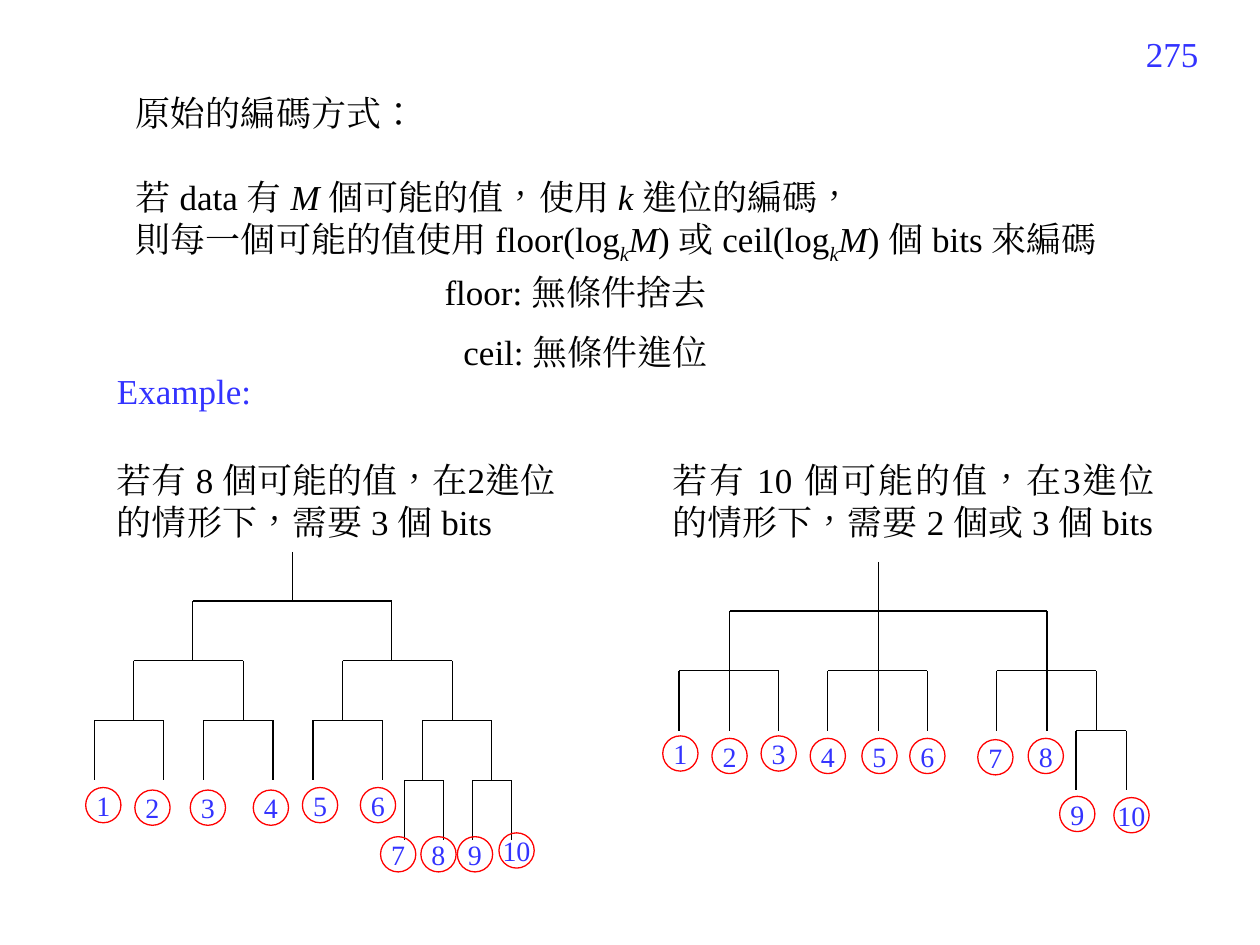
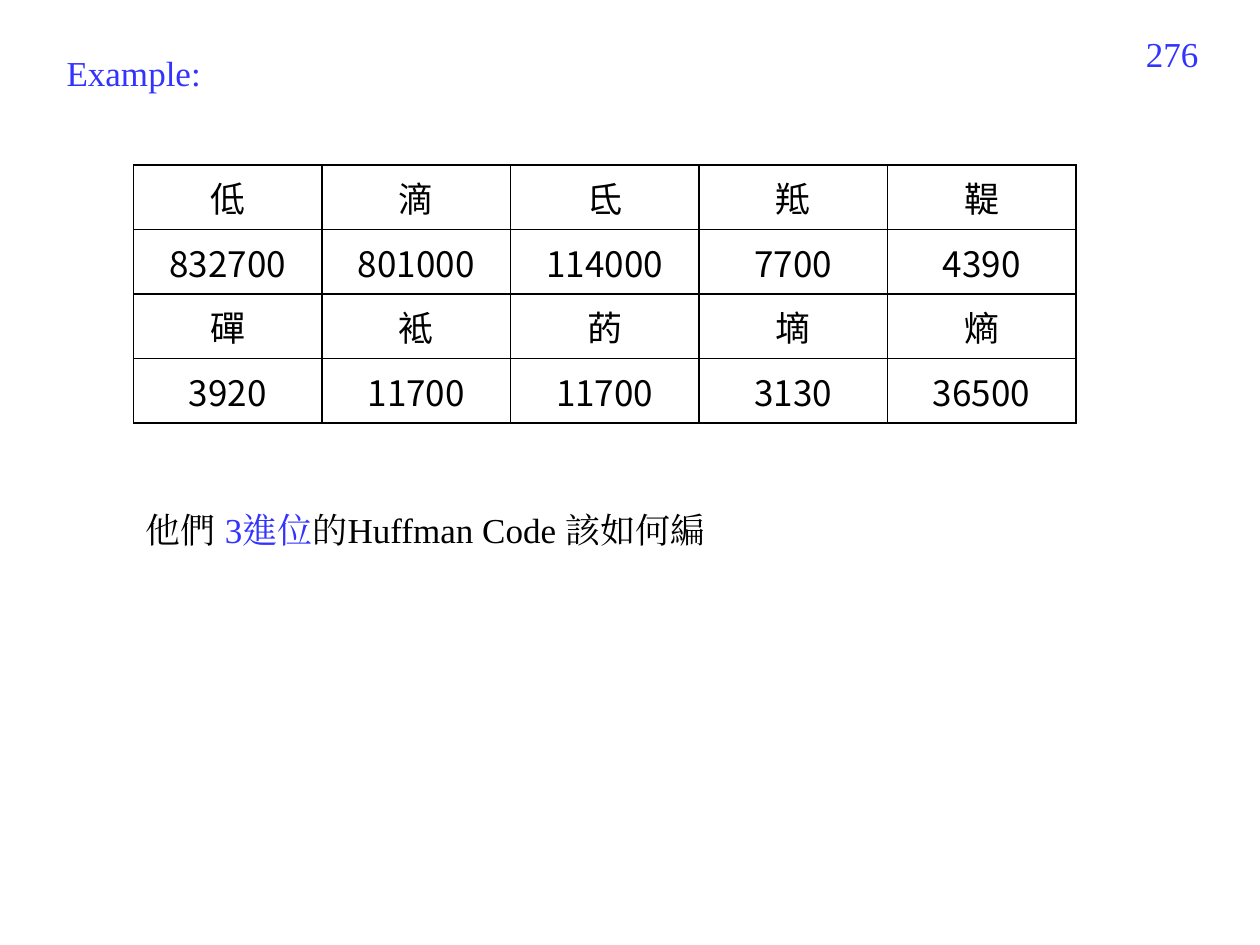
from lxml.etree import SubElement
from pptx import Presentation
from pptx.dml.color import RGBColor
from pptx.enum.shapes import MSO_CONNECTOR, MSO_SHAPE
from pptx.enum.text import MSO_ANCHOR, PP_ALIGN
from pptx.oxml.ns import qn
from pptx.util import Inches, Pt

rgb = RGBColor.from_string
BLACK, BLUE, RED = "000000", "3333FF", "FF0000"
SERIF, SANS = "Times New Roman", "Noto Sans CJK SC"
ITALIC = {"italic": True}
SUBSCRIPT = {"italic": True, "baseline": "-25000"}

presentation = Presentation()
presentation.slide_width, presentation.slide_height = Inches(10), Inches(7.5)
UNIT = presentation.slide_width / 100  # the grid has 100 columns and 75 rows


def grid(*counts):
    """Turn numbers of grid columns or rows into lengths."""
    return [round(count * UNIT) for count in counts]


def write(frame, paragraphs, color=BLACK, align=PP_ALIGN.LEFT, size=20, name=SERIF):
    """Fill a text frame; each paragraph is a list of (text, format) runs."""
    frame.word_wrap = True
    for index, runs in enumerate(paragraphs):
        paragraph = frame.add_paragraph() if index else frame.paragraphs[0]
        paragraph.alignment = align
        for text, changes in runs:
            run = paragraph.add_run()
            run.text = text
            values = {"size": Pt(size), "name": name, "italic": changes.get("italic", False)}
            for key, value in values.items():
                setattr(run.font, key, value)
            run.font.color.rgb = rgb(changes.get("color", color))
            properties = run._r.get_or_add_rPr()
            properties.set("lang", "zh-TW")
            if "baseline" in changes:
                properties.set("baseline", changes["baseline"])
            SubElement(properties, qn("a:ea"), typeface=name)


blank = presentation.slide_layouts[6]
tree_slide, table_slide = [presentation.slides.add_slide(blank) for _ in range(2)]

# Page numbers and "Example:" headings
for slide, number, heading_box in (
    (tree_slide, "275", (8.3, 28.8, 21.3, 4.4)),
    (table_slide, "276", (4.3, 3.6, 22, 4.3)),
):
    page_number = slide.shapes.add_textbox(*grid(72.8, 2.1, 23.3, 5.2))
    write(page_number.text_frame, [[(number, {})]], BLUE, PP_ALIGN.RIGHT)
    heading = slide.shapes.add_textbox(*grid(*heading_box))
    write(heading.text_frame, [[("Example:", {})]], BLUE)

# Original coding method
method = tree_slide.shapes.add_textbox(*grid(9.8, 6.8, 82.7, 14.5)).text_frame
write(method, [
    [("原始的編碼方式：", {})],
    [("若 data 有 ", {}), ("M ", ITALIC), ("個可能的值，使用 ", {}),
     ("k ", ITALIC), ("進位的編碼，", {})],
    [("則每一個可能的值使用 floor(log", {}), ("k", SUBSCRIPT), ("M", ITALIC),
     (") 或 ceil(log", {}), ("k", SUBSCRIPT), ("M", ITALIC),
     (") 個 bits 來編碼", {})],
])
method.paragraphs[1].space_before = Pt(24)

for box, text, align in (
    ((34.3, 21, 23.6, 4.4), "floor: 無條件捨去", PP_ALIGN.LEFT),
    ((35.8, 25.7, 33.1, 4.4), "ceil: 無條件進位", PP_ALIGN.LEFT),
    ((8.3, 35.9, 37, 7.7), "若有 8 個可能的值，在2進位的情形下，需要 3 個 bits", PP_ALIGN.LEFT),
    ((52.4, 35.9, 40.2, 7.7), "若有 10 個可能的值，在3進位的情形下，需要 2 個或 3 個 bits",
     PP_ALIGN.JUSTIFY),
):
    note = tree_slide.shapes.add_textbox(*grid(*box))
    write(note.text_frame, [[(text, {})]], align=align)

# Code trees: each level has forks of one width, hanging from a bar
LEVEL, STEM = 4.74, 3.9
binary_tree = {
    "root": (23.2, 47.7, 1),
    "levels": [(15.8, [15.3]), (8.7, [10.6, 27.2]),
               (5.5, [7.5 + 8.67 * fork for fork in range(4)]), (3.1, [32.1, 37.5])],
    "leaves": [(1, 6.8, 62.5), (2, 10.7, 62.7), (3, 15.1, 62.7), (4, 20.1, 62.7),
               (5, 24, 62.5), (6, 28.6, 62.5), (7, 30.2, 66.4), (8, 33.4, 66.4),
               (9, 36.3, 66.4), (10, 39.6, 66.1)],
}
ternary_tree = {
    "root": (69.7, 48.5, 2),
    "levels": [(25.2, [57.9]), (7.9, [53.9, 65.7, 79.1]), (4, [85.4])],
    "leaves": [(1, 52.6, 58.4), (2, 56.5, 58.6), (3, 60.4, 58.4), (4, 64.3, 58.6),
               (5, 68.4, 58.6), (6, 72.2, 58.6), (7, 77.6, 58.7), (8, 81.6, 58.6),
               (9, 84.1, 63.2), (10, 88.4, 63.3)],
}

for tree in (binary_tree, ternary_tree):
    root_x, top, first_drop = tree["root"]
    stem_end = top + (LEVEL * 2 if first_drop == 2 else 0)
    branches = [(root_x, top - STEM, root_x, stem_end)]
    for level, (width, forks) in enumerate(tree["levels"]):
        bar = top + level * LEVEL
        prong_end = bar + LEVEL * (1 if level else first_drop)
        for left in forks:
            right = left + width
            branches += [(left, bar, right, bar),
                         (left, bar, left, prong_end),
                         (right, bar, right, prong_end)]
    for branch in branches:
        connector = tree_slide.shapes.add_connector(MSO_CONNECTOR.STRAIGHT, *grid(*branch))
        connector.line.color.rgb = rgb(BLACK)
        connector.line.width = Pt(0.75)
        SubElement(connector._element.spPr, qn("a:effectLst"))

    for number, left, leaf_top in tree["leaves"]:
        leaf = tree_slide.shapes.add_shape(MSO_SHAPE.OVAL, *grid(left, leaf_top, 2.8, 2.8))
        leaf.shadow.inherit = False
        leaf.fill.background()
        leaf.line.color.rgb = rgb(RED)
        leaf.line.width = Pt(0.75)
        write(leaf.text_frame, [[(str(number), {})]], BLUE, PP_ALIGN.CENTER, 16)
        for key, value in {"margin_left": 0, "margin_right": 0, "margin_top": 0,
                           "margin_bottom": 0, "word_wrap": False,
                           "vertical_anchor": MSO_ANCHOR.MIDDLE}.items():
            setattr(leaf.text_frame, key, value)

# Character frequencies
frequencies = [
    ["低", "滴", "氐", "羝", "鞮"],
    ["832700", "801000", "114000", "7700", "4390"],
    ["磾", "袛", "菂", "墑", "熵"],
    ["3920", "11700", "11700", "3130", "36500"],
]
table = table_slide.shapes.add_table(4, 5, *grid(10.6, 13.1, 74.8, 20.5)).table
table.first_row = table.horz_banding = False
for row, values in enumerate(frequencies):
    for column, value in enumerate(values):
        cell = table.cell(row, column)
        cell.vertical_anchor = MSO_ANCHOR.MIDDLE
        write(cell.text_frame, [[(value, {})]], align=PP_ALIGN.CENTER, name=SANS)
        properties = cell._tc.get_or_add_tcPr()
        for side in ("a:lnL", "a:lnR", "a:lnT", "a:lnB"):
            border = SubElement(properties, qn(side), w=str(Pt(1)))
            SubElement(SubElement(border, qn("a:solidFill")), qn("a:srgbClr"), val=BLACK)
        cell.fill.background()

question = table_slide.shapes.add_textbox(*grid(10.6, 39.9, 47.1, 4.3)).text_frame
question.vertical_anchor = MSO_ANCHOR.MIDDLE
write(question, [[("他們 ", {}), ("3進位", {"color": BLUE}),
                  ("的Huffman Code 該如何編", {})]])

presentation.save("out.pptx")
